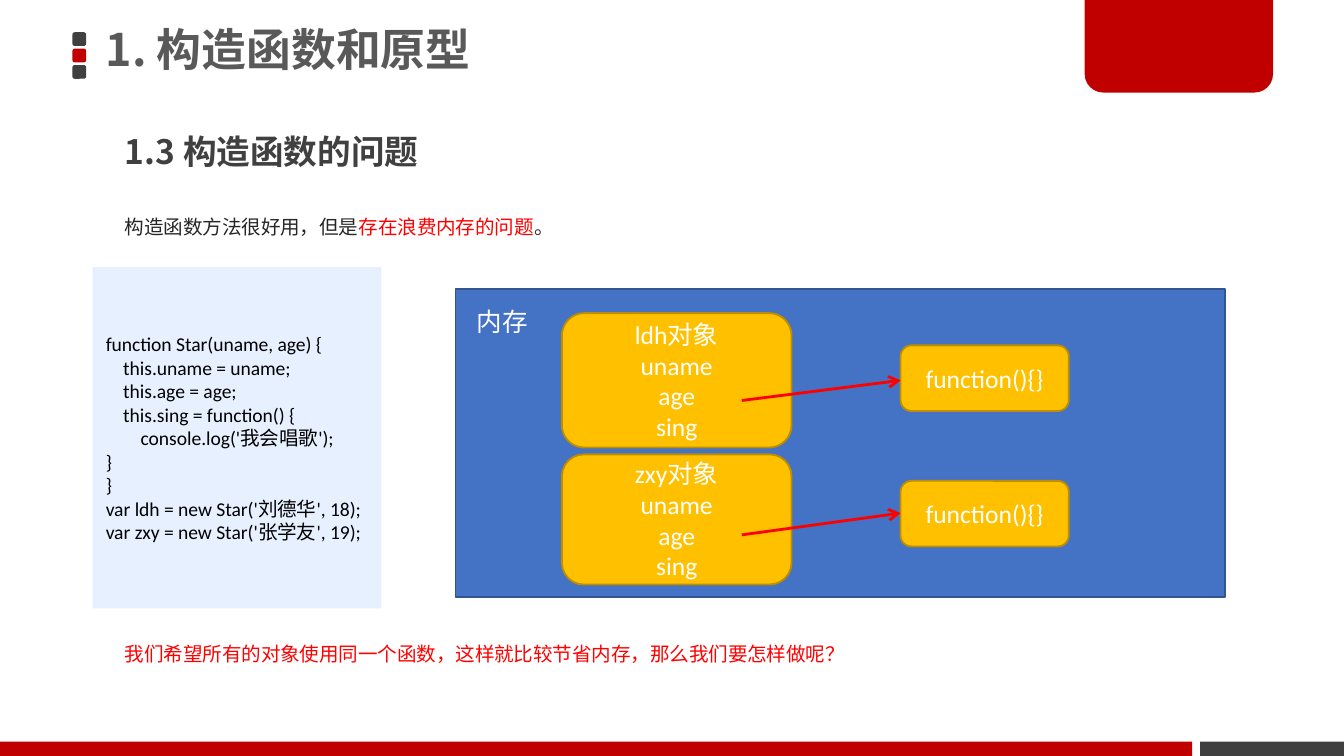
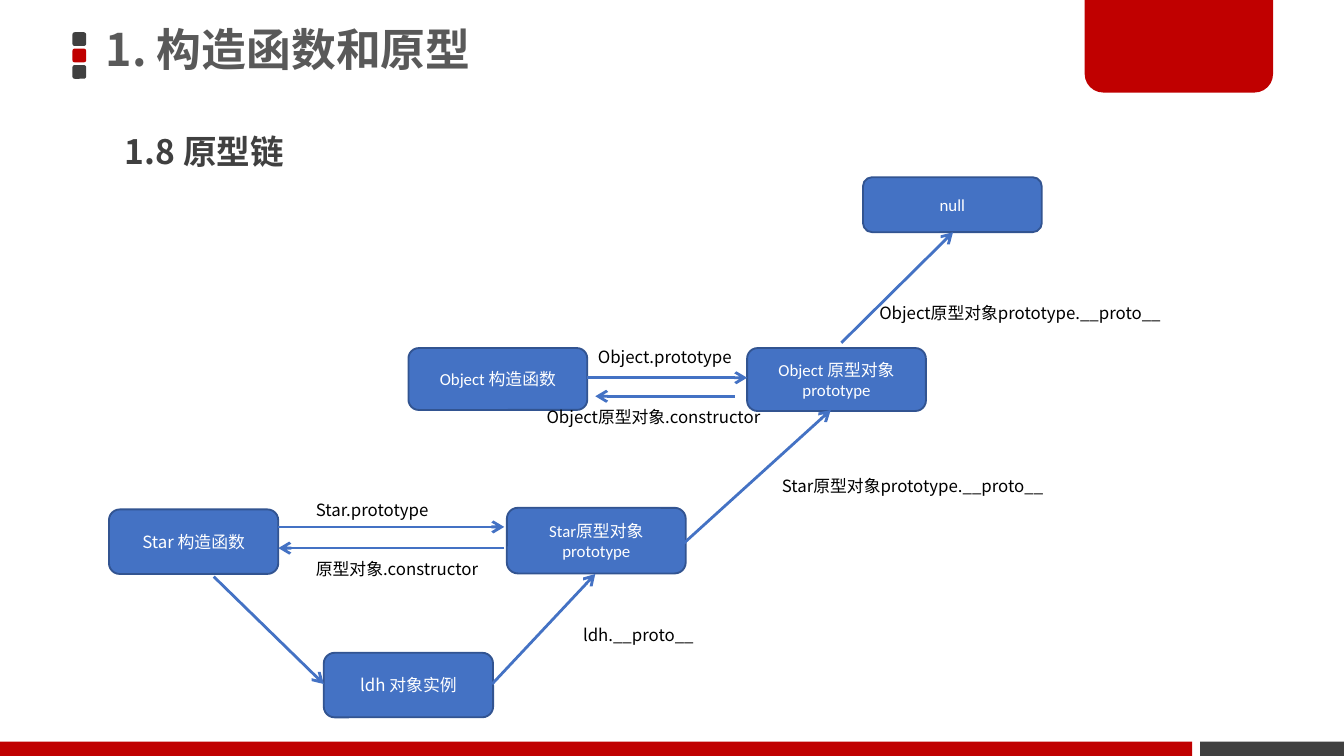
"""Build two slides on JavaScript constructors and the prototype chain."""

from dataclasses import dataclass, field
from typing import Any, NamedTuple

from lxml.etree import SubElement
from pptx import Presentation
from pptx.dml.color import RGBColor
from pptx.enum.shapes import MSO_CONNECTOR, MSO_SHAPE
from pptx.enum.text import MSO_ANCHOR, PP_ALIGN
from pptx.oxml.ns import qn
from pptx.shapes.autoshape import Shape
from pptx.slide import Slide
from pptx.util import Cm, Pt


@dataclass(frozen=True)
class Theme:
    """Colours, fonts and type sizes of the deck."""

    red: str = "C00000"
    charcoal: str = "404040"
    title: str = "595959"
    body: str = "262626"
    alert: str = "FF0000"
    blue: str = "4472C4"
    blue_edge: str = "325491"
    amber: str = "FFC000"
    amber_edge: str = "BD8E00"
    code_fill: str = "E6F0FF"
    white: str = "FFFFFF"
    black: str = "000000"
    sans: str = "Noto Sans CJK SC"
    latin: str = "Calibri"
    title_size: float = 24
    heading_size: float = 18
    object_size: float = 13.7
    body_size: float = 10.5
    label_size: float = 9


THEME = Theme()


class Frame(NamedTuple):
    """Position and size in centimetres."""

    left: float
    top: float
    width: float
    height: float

    def lengths(self) -> list[Cm]:
        """Return the four values as lengths."""
        return [Cm(value) for value in self]


class Span(NamedTuple):
    """Stretch of text, with a colour of its own if given."""

    text: str
    color: str = ""


class Para(NamedTuple):
    """Paragraph of spans with a left indent in centimetres."""

    spans: tuple[Span, ...]
    indent: float = 0


class Arrow(NamedTuple):
    """Straight arrow from a start to an end in centimetres."""

    start_x: float
    start_y: float
    end_x: float
    end_y: float


class Label(NamedTuple):
    """Caption beside an arrow."""

    text: str
    left: float
    top: float
    width: float
    align: PP_ALIGN = PP_ALIGN.LEFT


class Node(NamedTuple):
    """Rounded box with one line of text per entry."""

    lines: tuple[str, ...]
    frame: Frame
    font: str = THEME.latin


@dataclass(frozen=True)
class TextStyle:
    """Character and paragraph format of a text."""

    size: float
    color: str
    font: str = THEME.sans
    bold: bool = False
    anchor: MSO_ANCHOR = MSO_ANCHOR.TOP
    paragraph: dict[str, Any] = field(default_factory=dict)


@dataclass(frozen=True)
class ShapeStyle:
    """Fill and optional outline of a shape."""

    fill: str
    edge: str = ""


TITLE = TextStyle(THEME.title_size, THEME.title, bold=True, anchor=MSO_ANCHOR.MIDDLE,
                  paragraph={"line_spacing": 0.9})
HEADING = TextStyle(THEME.heading_size, THEME.charcoal, bold=True,
                    paragraph={"line_spacing": 0.9, "space_before": Pt(7.5)})
BODY = TextStyle(THEME.body_size, THEME.body,
                 paragraph={"line_spacing": 1.5, "space_before": Pt(7.5)})
CODE = TextStyle(THEME.body_size, THEME.black, THEME.latin, anchor=MSO_ANCHOR.MIDDLE,
                 paragraph={"alignment": PP_ALIGN.LEFT})
MEMORY = TextStyle(THEME.object_size, THEME.white, THEME.latin)
CENTERED = {"alignment": PP_ALIGN.CENTER}

BLUE_BOX = ShapeStyle(THEME.blue, THEME.blue_edge)
AMBER_BOX = ShapeStyle(THEME.amber, THEME.amber_edge)


def apply_format(target: Any, values: dict[str, Any]) -> None:
    """Set every attribute named in the format values."""
    for name, value in values.items():
        setattr(target, name, value)


def plain(*lines: str) -> list[Para]:
    """Turn lines into paragraphs of one span each."""
    return [Para((Span(line),)) for line in lines]


def write(shape: Shape, paras: list[Para], style: TextStyle) -> None:
    """Fill a shape with formatted paragraphs."""
    text_frame = shape.text_frame
    apply_format(text_frame, {"word_wrap": True, "vertical_anchor": style.anchor})
    for index, para in enumerate(paras):
        paragraph = text_frame.add_paragraph() if index else text_frame.paragraphs[0]
        apply_format(paragraph, style.paragraph)
        if para.indent:
            paragraph._p.get_or_add_pPr().set("marL", str(Cm(para.indent)))
        for span in para.spans:
            run = paragraph.add_run()
            run.text = span.text
            run.font.color.rgb = RGBColor.from_string(span.color or style.color)
            apply_format(run.font, {"name": style.font, "size": Pt(style.size), "bold": style.bold})
            SubElement(run._r.get_or_add_rPr(), qn("a:ea"), typeface=THEME.sans)


def add_text(page: Slide, frame: Frame, paras: list[Para], style: TextStyle) -> Shape:
    """Add a wrapped text box."""
    box = page.shapes.add_textbox(*frame.lengths())
    write(box, paras, style)
    return box


def add_box(page: Slide, kind: MSO_SHAPE, frame: Frame, style: ShapeStyle) -> Shape:
    """Add a flat preset shape."""
    box = page.shapes.add_shape(kind, *frame.lengths())
    box.shadow.inherit = False
    box.fill.solid()
    box.fill.fore_color.rgb = RGBColor.from_string(style.fill)
    if style.edge:
        box.line.color.rgb = RGBColor.from_string(style.edge)
        box.line.width = Pt(1)
    else:
        box.line.fill.background()
    return box


def add_node(page: Slide, node: Node, style: ShapeStyle, size: float) -> None:
    """Add a rounded box with centred white text."""
    box = add_box(page, MSO_SHAPE.ROUNDED_RECTANGLE, node.frame, style)
    write(box, plain(*node.lines),
          TextStyle(size, THEME.white, node.font, anchor=MSO_ANCHOR.MIDDLE, paragraph=CENTERED))


def add_arrow(page: Slide, arrow: Arrow, color: str) -> None:
    """Add a straight connector with an open arrowhead at its end."""
    line = page.shapes.add_connector(MSO_CONNECTOR.STRAIGHT, *(Cm(value) for value in arrow))
    line.line.color.rgb = RGBColor.from_string(color)
    line.line.width = Pt(1.5)
    properties = line.element.spPr
    SubElement(properties.find(qn("a:ln")), qn("a:tailEnd"), type="arrow")
    SubElement(properties, qn("a:effectLst"))


def add_page(deck: Any, heading: str) -> Slide:
    """Add a page with the shared decoration, title and heading."""
    page = deck.slides.add_slide(deck.slide_layouts[6])
    for row, color in enumerate((THEME.charcoal, THEME.red, THEME.charcoal)):
        add_box(page, MSO_SHAPE.ROUNDED_RECTANGLE,
                Frame(1.37, 0.61 + row * 0.31, 0.26, 0.26), ShapeStyle(color))
    add_box(page, MSO_SHAPE.RECTANGLE, Frame(22.68, 14.02, 2.72, 0.27), ShapeStyle(THEME.charcoal))
    add_box(page, MSO_SHAPE.RECTANGLE, Frame(0, 14.02, 22.53, 0.27), ShapeStyle(THEME.red))
    tab = add_box(page, MSO_SHAPE.ROUND_2_SAME_RECTANGLE,
                  Frame(20.5, 0, 3.56, 1.75), ShapeStyle(THEME.red))
    tab.adjustments[0], tab.adjustments[1] = 0, 0.2
    add_text(page, Frame(1.75, 0.03, 18.72, 1.9), plain("1. 构造函数和原型"), TITLE)
    add_text(page, Frame(2.11, 2.44, 18.11, 1.5), plain(heading), HEADING)
    return page


def build_memory_page(deck: Any) -> None:
    """Show how each object holds its own copy of a method."""
    page = add_page(deck, "1.3 构造函数的问题")
    intro = Para((Span("构造函数方法很好用，但是"), Span("存在浪费内存的问题", THEME.alert), Span("。")))
    add_text(page, Frame(2.11, 3.71, 18.36, 1.02), [intro], BODY)

    add_box(page, MSO_SHAPE.RECTANGLE, Frame(8.61, 5.46, 14.55, 5.82), BLUE_BOX)
    add_text(page, Frame(8.76, 5.66, 1.8, 0.84), plain("内存"), MEMORY)
    members = ("uname", "age", "sing")
    nodes = (
        Node(("ldh对象", *members), Frame(10.62, 5.92, 4.34, 2.54)),
        Node(("zxy对象", *members), Frame(10.62, 8.59, 4.34, 2.46)),
        *(Node(("function(){}",), Frame(17.02, top, 3.18, 1.24)) for top in (6.53, 9.09)),
    )
    for node in nodes:
        add_node(page, node, AMBER_BOX, THEME.object_size)
    for arrow in (Arrow(14.02, 7.57, 17.02, 7.19), Arrow(14.02, 10.11, 17.02, 9.7)):
        add_arrow(page, arrow, THEME.alert)

    question = Span("我们希望所有的对象使用同一个函数，这样就比较节省内存，那么我们要怎样做呢？", THEME.alert)
    add_text(page, Frame(2.11, 11.79, 18.72, 1.27), [Para((question,))], BODY)

    code = (
        (0, "function Star(uname, age) {"),
        (1, "this.uname = uname;"),
        (1, "this.age = age;"),
        (1, "this.sing = function() {"),
        (2, "console.log('我会唱歌');"),
        (0, "}"),
        (0, "}"),
        (0, "var ldh = new Star('刘德华', 18);"),
        (0, "var zxy = new Star('张学友', 19);"),
    )
    panel = add_box(page, MSO_SHAPE.RECTANGLE, Frame(1.75, 5.05, 5.46, 6.45),
                    ShapeStyle(THEME.code_fill))
    write(panel, [Para((Span(line),), level * 0.33) for level, line in code], CODE)


def build_chain_page(deck: Any) -> None:
    """Draw the prototype chain from an instance up to null."""
    page = add_page(deck, "1.8 原型链")
    nodes = (
        Node(("Star 构造函数",), Frame(2.06, 9.63, 3.2, 1.22), THEME.sans),
        Node(("Star原型对象prototype",), Frame(9.58, 9.6, 3.38, 1.24)),
        Node(("ldh 对象实例",), Frame(6.12, 12.34, 3.2, 1.22), THEME.sans),
        Node(("Object 构造函数",), Frame(7.72, 6.58, 3.38, 1.17)),
        Node(("Object 原型对象", "prototype"), Frame(14.12, 6.58, 3.38, 1.19)),
        Node(("null",), Frame(16.31, 3.35, 3.38, 1.04)),
    )
    arrows = (
        Arrow(4.04, 10.9, 6.12, 12.93),
        Arrow(9.3, 12.93, 11.25, 10.85),
        Arrow(5.26, 9.96, 9.53, 9.96),
        Arrow(9.53, 10.36, 5.26, 10.36),
        Arrow(12.9, 10.29, 15.7, 7.75),
        Arrow(11.1, 7.14, 14.12, 7.14),
        Arrow(13.89, 7.49, 11.25, 7.49),
        Arrow(15.9, 6.48, 18.01, 4.39),
    )
    labels = (
        Label("ldh.__proto__", 10.77, 11.68, 2.67),
        Label("原型对象.constructor", 5.72, 10.44, 3.91),
        Label("Star.prototype", 5.72, 9.32, 3.43),
        Label("Star原型对象prototype.__proto__", 14.12, 8.86, 6.25, PP_ALIGN.CENTER),
        Label("Object.prototype", 11.05, 6.43, 3.15),
        Label("Object原型对象prototype.__proto__", 16.15, 5.59, 6.25, PP_ALIGN.CENTER),
        Label("Object原型对象.constructor", 10.08, 7.57, 5.05),
    )
    for node in nodes:
        add_node(page, node, BLUE_BOX, THEME.label_size)
    for arrow in arrows:
        add_arrow(page, arrow, THEME.blue)
    for label in labels:
        style = TextStyle(THEME.label_size, THEME.black, paragraph={"alignment": label.align})
        add_text(page, Frame(label.left, label.top, label.width, 0.64), plain(label.text), style)


def main() -> None:
    """Create the deck and save it."""
    deck = Presentation()
    apply_format(deck, {"slide_width": Cm(25.4), "slide_height": Cm(14.29)})
    build_memory_page(deck)
    build_chain_page(deck)
    deck.save("out.pptx")


main()
